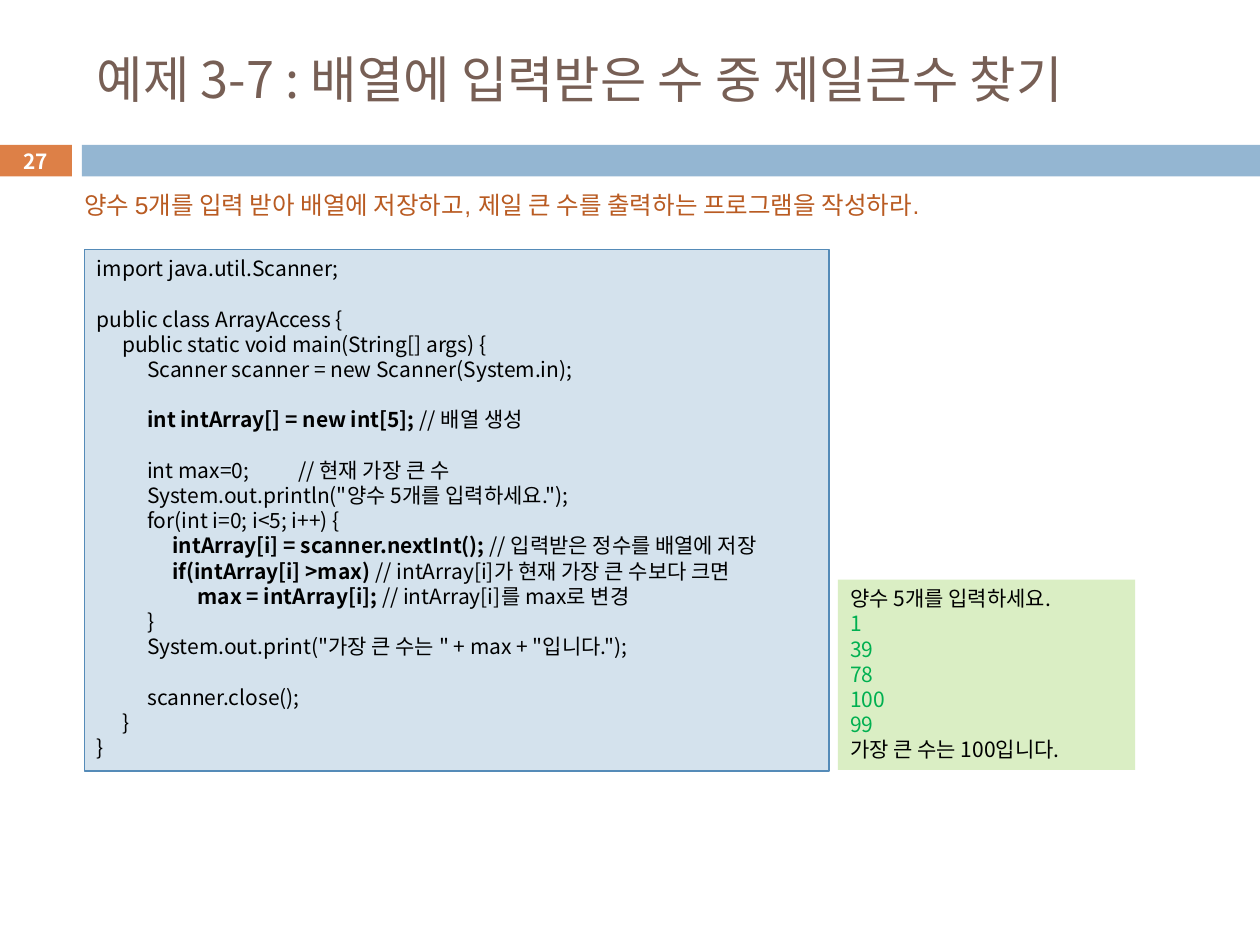
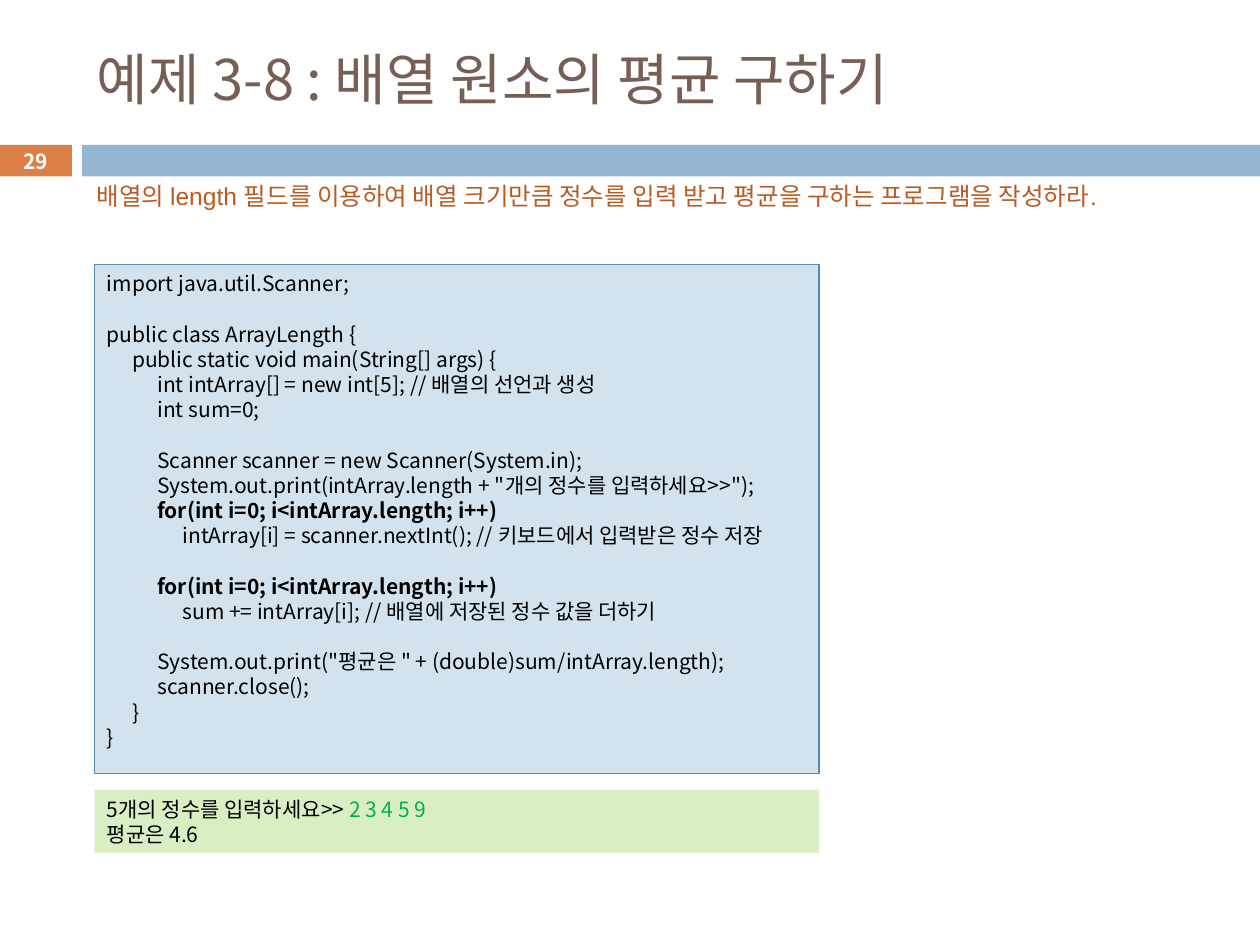
"""Builds two Java array example slides with code and sample output."""
import pptx
import pptx.dml.color
import pptx.enum.shapes
import pptx.enum.text
import pptx.util
from lxml import etree

Inches, Pt = pptx.util.Inches, pptx.util.Pt
FONT, LATIN = "Noto Sans CJK KR", "Arial"
COLORS = {"title": "775F55", "task": "B95B22", "number": "DD8047", "band": "94B6D2",
          "code": "D4E2ED", "code_line": "558BB8", "output": "DAEEC4",
          "text": "000000", "input": "00B050", "white": "FFFFFF"}
TAB, TAB_COUNT, LINE = 0.2, 8, 14.4
BAND_TOP, BAND_HEIGHT = 1.15, 0.25

MAX_CODE = """
import java.util.Scanner;

public class ArrayAccess {
    public static void main(String[] args) {
        Scanner scanner = new Scanner(System.in);

        **int intArray[] = new int[5]; **// 배열 생성

        int max=0; \t\t// 현재 가장 큰 수
        System.out.println("양수 5개를 입력하세요.");
        for(int i=0; i<5; i++) {
            **intArray[i] = scanner.nextInt(); **// 입력받은 정수를 배열에 저장
            **if(intArray[i] >max) **// intArray[i]가 현재 가장 큰 수보다 크면
                **max = intArray[i]; **// intArray[i]를 max로 변경
        }
        System.out.print("가장 큰 수는 " + max + "입니다.");

        scanner.close();
    }
}
"""

AVERAGE_CODE = """
import java.util.Scanner;

public class ArrayLength {
    public static void main(String[] args) {
        int intArray[] = new int[5]; // 배열의 선언과 생성
        int sum=0;

        Scanner scanner = new Scanner(System.in);
        System.out.print(intArray.length + "개의 정수를 입력하세요>>");
        **for(int i=0; i<intArray.length; i++)**
            intArray[i] = scanner.nextInt(); // 키보드에서 입력받은 정수 저장

        **for(int i=0; i<intArray.length; i++)**
            sum += intArray[i]; // 배열에 저장된 정수 값을 더하기

        System.out.print("평균은 " + (double)sum/intArray.length);
        scanner.close();
    }
}
"""

SLIDES = [
    {"number": "27", "title": "예제 3-7 : 배열에 입력받은 수 중 제일큰수 찾기", "title_size": 28.8,
     "task": "양수 5개를 입력 받아 배열에 저장하고, 제일 큰 수를 출력하는 프로그램을 작성하라.",
     "task_at": (0.57, 1.46, 8.55, 0.34),
     "code": MAX_CODE, "code_at": (0.67, 1.98, 5.91, 4.14),
     "output": [[("양수 5개를 입력하세요.", "text")],
                *[[(value, "input")] for value in ("1", "39", "78", "100", "99")],
                [("가장 큰 수는 100입니다.", "text")]],
     "output_at": (6.65, 4.6, 2.36, 1.51)},
    {"number": "29", "title": "예제 3-8 : 배열 원소의 평균 구하기", "title_size": 32,
     "task": "배열의 length 필드를 이용하여 배열 크기만큼 정수를 입력 받고 평균을 구하는 프로그램을 작성하라.",
     "task_at": (0.67, 1.39, 8.55, 0.57),
     "code": AVERAGE_CODE, "code_at": (0.75, 2.1, 5.75, 4.04),
     "output": [[("5개의 정수를 입력하세요>> ", "text"), ("2 3 4 5 9", "input")],
                [("평균은 4.6", "text")]],
     "output_at": (0.75, 6.27, 5.75, 0.5)},
]


def rgb(name):
    return pptx.dml.color.RGBColor.from_string(COLORS[name])


def add_rect(s, at, fill, line=None):
    sp = s.shapes.add_shape(pptx.enum.shapes.MSO_SHAPE.RECTANGLE, *map(Inches, at))
    sp.shadow.inherit = False
    sp.fill.solid()
    sp.fill.fore_color.rgb = rgb(fill)
    if line:
        sp.line.color.rgb = rgb(line)
        sp.line.width = Pt(0.75)
    else:
        sp.line.fill.background()
    sp.text_frame.word_wrap = True
    sp.text_frame.vertical_anchor = pptx.enum.text.MSO_ANCHOR.TOP
    return sp


def add_run(p, text, size, color, bold=False, font=FONT):
    r = p.add_run()
    r.text = text
    r.font.size = Pt(size)
    r.font.bold = bold
    r.font.color.rgb = rgb(color)
    r.font.name = font
    etree.SubElement(r.font._element, pptx.oxml.ns.qn("a:ea"), typeface=FONT)


def add_label(s, at, text, size, color, font=FONT, anchor="TOP"):
    sp = s.shapes.add_textbox(*map(Inches, at))
    tf = sp.text_frame
    tf.word_wrap = True
    tf.vertical_anchor = pptx.enum.text.MSO_ANCHOR[anchor]
    add_run(tf.paragraphs[0], text, size, color, font=font)


def next_paragraph(tf):
    p = tf.paragraphs[0]
    if p.runs:
        p = tf.add_paragraph()
    p.alignment = pptx.enum.text.PP_ALIGN.LEFT
    p.line_spacing = Pt(LINE)
    return p


def add_tabs(p):
    tabs = etree.SubElement(p._p.get_or_add_pPr(), pptx.oxml.ns.qn("a:tabLst"))
    for i in range(1, TAB_COUNT + 1):
        etree.SubElement(tabs, pptx.oxml.ns.qn("a:tab"), pos=str(Inches(TAB * i)), algn="l")


def add_code(s, at, code):
    tf = add_rect(s, at, "code", "code_line").text_frame
    gap = 0
    for line in code.strip().splitlines():
        if not line:
            gap += LINE
            continue
        p = next_paragraph(tf)
        if gap:
            p.space_before = Pt(gap)
        gap = 0
        add_tabs(p)
        for i, part in enumerate(line.replace("    ", "\t").split("**")):
            if part:
                add_run(p, part, 12, "text", bold=i % 2 == 1)


def add_output(s, at, lines):
    tf = add_rect(s, at, "output").text_frame
    for line in lines:
        p = next_paragraph(tf)
        for text, color in line:
            add_run(p, text, 12, color)


def add_frame(s, number):
    sp = add_rect(s, (-0.01, BAND_TOP, 0.58, BAND_HEIGHT), "number")
    tf = sp.text_frame
    tf.margin_top = tf.margin_bottom = 0
    tf.vertical_anchor = pptx.enum.text.MSO_ANCHOR.MIDDLE
    p = tf.paragraphs[0]
    p.alignment = pptx.enum.text.PP_ALIGN.CENTER
    add_run(p, number, 11.9, "white", bold=True)
    add_rect(s, (0.65, BAND_TOP, 9.35, BAND_HEIGHT), "band")


def main():
    prs = pptx.Presentation()
    prs.slide_width, prs.slide_height = Inches(10), Inches(7.5)
    for item in SLIDES:
        s = prs.slides.add_slide(prs.slide_layouts[6])
        add_frame(s, item["number"])
        add_label(s, (0.67, 0.25, 8.92, 0.74), item["title"], item["title_size"], "title",
                  anchor="MIDDLE")
        add_label(s, item["task_at"], item["task"], 14, "task", font=LATIN)
        add_code(s, item["code_at"], item["code"])
        add_output(s, item["output_at"], item["output"])
    prs.save("out.pptx")


if __name__ == "__main__":
    main()
